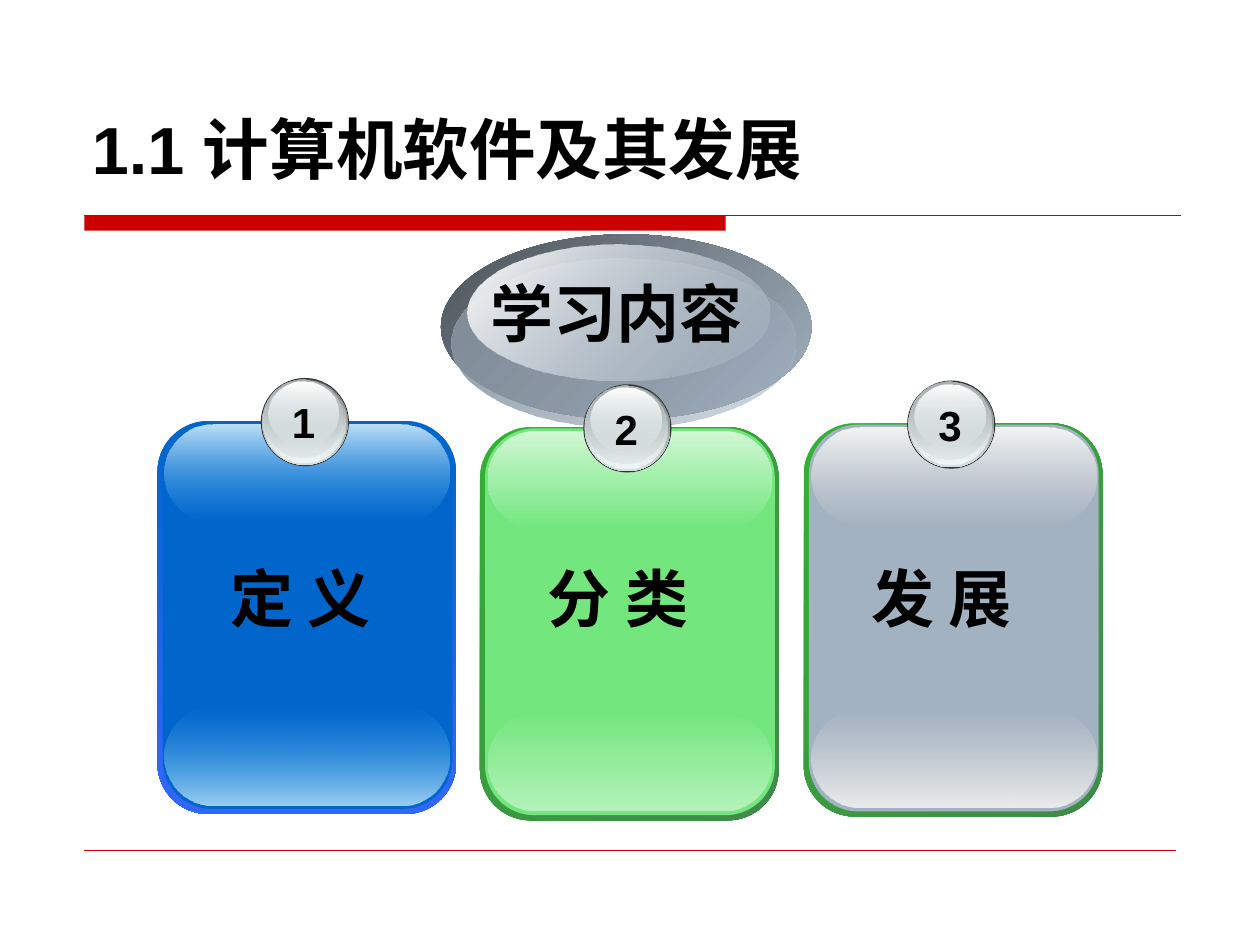
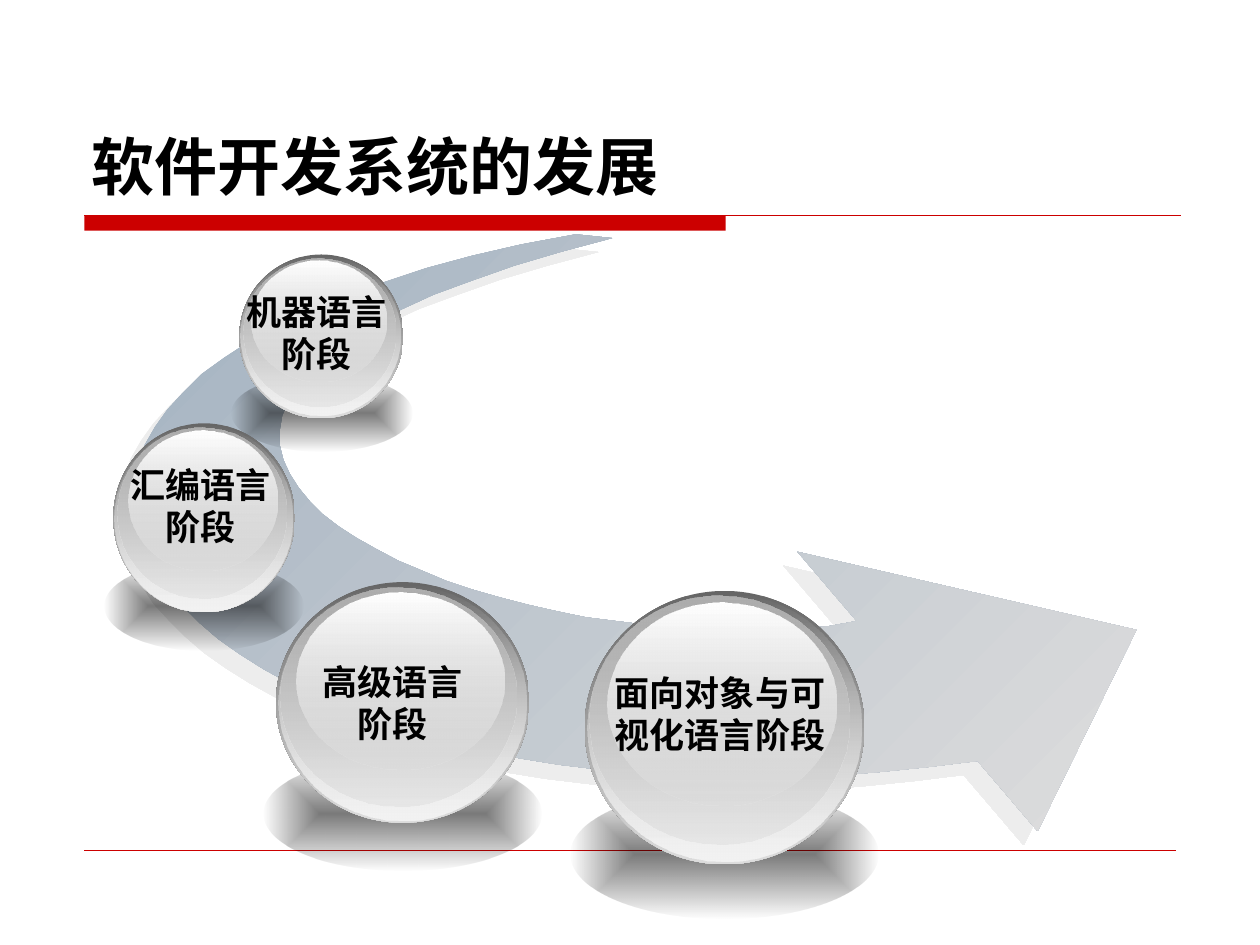
from dataclasses import dataclass

from pptx import Presentation
from pptx.dml.color import RGBColor
from pptx.enum.shapes import MSO_CONNECTOR as CONN, MSO_SHAPE as SHAPE
from pptx.enum.text import MSO_ANCHOR as ANCHOR, MSO_AUTO_SIZE as AUTO, PP_ALIGN as ALIGN
from pptx.oxml import parse_xml
from pptx.oxml.ns import nsdecls, qn
from pptx.oxml.xmlchemy import OxmlElement
from pptx.util import Emu, Pt

PX = 9144  # EMU per px, 100 px to the inch


@dataclass(frozen=True)
class Theme:
    """Colours and type sizes; a gradient is (start, end, angle), a stop is (colour, opacity %)."""
    font: str = "Arial"
    text: str = "000000"
    accent: str = "CC0000"
    title_size: int = 38
    head_size: int = 36
    stage_size: int = 20
    badge_size: int = 24
    badge_rim: str = "333333"
    arrow: tuple = (("A3B2C1", 100), ("DDDDDD", 100), 45)
    arrow_shadow: str = "DDDDDD"
    ground: tuple = (("000000", 52), ("000000", 0), None)
    green_edge: tuple = (("34B034", 100), ("3F8B4A", 100), 45)
    blue_edge: tuple = (("0066CC", 100), ("3366FF", 100), 90)


THEME = Theme()

# Layers of a glossy ball: left, top, width, height as shares of the ball, then fill
BADGE_LAYERS = [
    ((0, 0, 1, 1), THEME.badge_rim),
    ((.01, .01, .97, .97), (("636869", 100), ("D6E1E2", 100), 90)),
    ((.02, .02, .94, .94), (("D6E1E2", 0), ("F1F5F5", 100), 90)),
    ((.03, .02, .9, .89), (("AAB2B3", 100), ("D6E1E2", 48), 90)),
    ((.09, .04, .8, .71), (("FFFFFF", 100), ("D6E1E2", 38), 90)),
]
STAGE_LAYERS = [
    ((-.05, .73, 1.1, .47), THEME.ground),
    ((0, 0, 1, 1), (("666666", 100), ("DDDDDD", 100), 90)),
    ((.01, .01, .98, .98), (("DDDDDD", 0), ("F3F3F3", 100), 90)),
    ((.02, .02, .93, .91), (("AFAFAF", 100), ("DDDDDD", 48), 90)),
    ((.08, .04, .82, .74), (("FFFFFF", 100), ("DDDDDD", 38), 90)),
]
HEADING_LAYERS = [
    ((350, 186, 294, 147), (("4B5259", 100), ("A3B2C1", 100), 45)),
    ((358, 205, 273, 134), (("818D99", 100), ("A3B2C1", 48), 45)),
    ((371, 194, 240, 108), (("FFFFFF", 100), ("A3B2C1", 38), 45)),
]

# Panels: number, label, label left, left, top, edge, face, top gloss, bottom gloss
BLUE = ("1", "定 义", 127, 125, 334, THEME.blue_edge, "0066CC",
        (("BEE0F7", 100), ("3CA1E6", 0), 90), (("3CA1E6", 0), ("9BCFF2", 100), 90))
GREEN = ("2", "分 类", 379, 381, 339, THEME.green_edge, "73E77E",
         (("D0F7D4", 100), ("73E77E", 100), 90), (("73E77E", 100), ("B3F2B9", 100), 90))
GREY = ("3", "发 展", 636, 638, 336, THEME.green_edge, "A3B2C1",
        (("F4F4F4", 100), ("DDDDDD", 0), 90), (("DDDDDD", 0), ("ECECEC", 100), 90))

# Stages: lines, ball box, text box
STAGES = [
    (("面向对象与可", "视化语言阶段"), (464, 469, 222, 217), (478, 528, 187, 77)),
    (("高级语言", "阶段"), (219, 462, 201, 191), (246, 519, 131, 77)),
    (("机器语言", "阶段"), (190, 202, 130, 130), (186, 226, 131, 77)),
    (("汇编语言", "阶段"), (90, 336, 144, 150), (94, 363, 131, 77)),
]

ARROW_OUTER = [
    (457, 186), (414, 194), (375, 203), (338, 213), (305, 224), (274, 235), (246, 246),
    (221, 258), (198, 271), (178, 284), (160, 297), (146, 311), (133, 325), (123, 339),
    (115, 353), (110, 368), (107, 382), (106, 397), (107, 411), (111, 425), (116, 440),
    (124, 454), (133, 468), (145, 481), (158, 494), (173, 507), (190, 519), (209, 531),
    (229, 542), (251, 553), (274, 563), (299, 572), (325, 581), (353, 589), (382, 596),
    (413, 602), (444, 607), (477, 611), (511, 615), (546, 617), (582, 618), (619, 617),
    (657, 616), (696, 613), (735, 609), (776, 604),
]
ARROW_HEAD = [(823, 659), (824, 659), (902, 500), (633, 438), (680, 493)]
ARROW_INNER = [
    (658, 497), (634, 499), (611, 500), (586, 500), (562, 500), (537, 498), (513, 496),
    (489, 493), (465, 490), (441, 485), (419, 480), (396, 474), (375, 468), (354, 461),
    (335, 453), (316, 445), (299, 436), (283, 427), (269, 418), (256, 408), (246, 398),
    (237, 387), (230, 376), (225, 365), (222, 353), (222, 342), (224, 330), (229, 318),
    (236, 306), (246, 294), (260, 282), (276, 270), (295, 258), (318, 246), (344, 234),
    (374, 223), (408, 211), (445, 200), (486, 189),
]


def assign(obj, **values):
    for name, value in values.items():
        setattr(obj, name, value)


def emu(*lengths):
    return [Emu(n * PX) for n in lengths]


class Deck:
    def __init__(self, theme):
        self.theme = theme
        self.prs = Presentation()
        self.prs.slide_width, self.prs.slide_height = emu(1000, 750)
        self.s = None

    def add_slide(self, title, top, size):
        """Start a slide with the shared rules and its title."""
        self.s = self.prs.slides.add_slide(self.prs.slide_layouts[5])
        self.shape(SHAPE.RECTANGLE, (67, 171, 509, 12), self.theme.accent)
        self.rule(937, 171, .75)
        self.rule(933, 675, .25)
        sp = self.s.shapes.title
        left, top, width, height = emu(63, top, 875, 133)
        assign(sp, left=left, top=top, width=width, height=height)
        self.set_text(sp.text_frame, [title], size, ALIGN.LEFT, ANCHOR.BOTTOM)

    def rule(self, right, y, weight):
        cx = self.s.shapes.add_connector(CONN.STRAIGHT, *emu(67, y, right, y))
        cx.line.color.rgb = RGBColor.from_string(self.theme.accent)
        cx.line.width = Pt(weight)
        cx._element.spPr.append(OxmlElement("a:effectLst"))

    def set_text(self, tf, lines, size, align=ALIGN.CENTER, anchor=ANCHOR.TOP, wrap=True):
        side, edge = emu(10, 5)
        assign(tf, word_wrap=wrap, auto_size=AUTO.NONE, vertical_anchor=anchor,
               margin_left=side, margin_right=side, margin_top=edge, margin_bottom=edge)
        for i, line in enumerate(lines):
            p = tf.paragraphs[0] if i == 0 else tf.add_paragraph()
            p.alignment = align
            r = p.add_run()
            r.text = line
            assign(r.font, name=self.theme.font, size=Pt(size), bold=True)
            r.font.color.rgb = RGBColor.from_string(self.theme.text)

    def text(self, box, lines, size, wrap=True):
        sp = self.s.shapes.add_textbox(*emu(*box))
        self.set_text(sp.text_frame, lines, size, wrap=wrap)

    def paint(self, sp, fill):
        """Fill with a plain colour or a gradient, without outline or shadow."""
        sp.shadow.inherit = False
        sp.line.fill.background()
        if isinstance(fill, str):
            sp.fill.solid()
            sp.fill.fore_color.rgb = RGBColor.from_string(fill)
            return
        *stops, angle = fill
        sp.fill.gradient()
        grad = sp._element.spPr.find(qn("a:gradFill"))
        for stop, (colour, opacity) in zip(sp.fill.gradient_stops, stops):
            stop.color.rgb = RGBColor.from_string(colour)
        for clr, (colour, opacity) in zip(grad.iter(qn("a:srgbClr")), stops):
            if opacity < 100:
                alpha = OxmlElement("a:alpha")
                alpha.set("val", str(opacity * 1000))
                clr.append(alpha)
        if angle is None:
            grad.replace(grad.find(qn("a:lin")), parse_xml(
                f'<a:path {nsdecls("a")} path="rect"><a:fillToRect l="50000" t="50000" '
                'r="50000" b="50000"/></a:path>'))
        else:
            sp.fill.gradient_angle = 360 - angle

    def shape(self, kind, box, fill, rounding=None):
        sp = self.s.shapes.add_shape(kind, *emu(*box))
        if rounding is not None:
            sp.adjustments[0] = rounding
        self.paint(sp, fill)

    def ball(self, box, layers):
        x, y, w, h = box
        for (dx, dy, dw, dh), fill in layers:
            part = (x + dx * w, y + dy * h, dw * w, dh * h)
            self.shape(SHAPE.OVAL, [round(n) for n in part], fill)

    def panel(self, number, label, label_x, x, y, edge, face, top_gloss, bottom_gloss):
        rounded = SHAPE.ROUNDED_RECTANGLE
        self.shape(rounded, (x, y, 237, 312), edge, .17)
        self.shape(rounded, (x + 4, y + 1, 230, 307), face, .17)
        self.shape(rounded, (x + 6, y + 227, 226, 78), bottom_gloss, .5)
        self.shape(rounded, (x + 6, y + 3, 226, 77), top_gloss, .5)
        self.ball((x + 82, y - 34, 70, 70), BADGE_LAYERS)
        self.text((x + 97, y - 24, 38, 50), [number], self.theme.badge_size, wrap=False)
        self.text((label_x, 439, 223, 70), [label], self.theme.head_size)

    def curved_arrow(self):
        start, *rest = ARROW_OUTER + ARROW_HEAD + ARROW_INNER
        builder = self.s.shapes.build_freeform(*start, scale=PX)
        builder.add_line_segments(rest, close=True)
        sp = builder.convert_to_shape()
        self.paint(sp, self.theme.arrow)
        sp._element.spPr.find(qn("a:effectLst")).append(parse_xml(
            f'<a:outerShdw {nsdecls("a")} dist="{Pt(11.3)}" dir="8100000" algn="ctr" '
            f'rotWithShape="0"><a:srgbClr val="{self.theme.arrow_shadow}">'
            '<a:alpha val="50000"/></a:srgbClr></a:outerShdw>'))


def contents_slide(deck):
    deck.add_slide("1.1 计算机软件及其发展", 21, THEME.title_size)
    deck.panel(*BLUE)
    deck.panel(*GREY)
    for box, fill in HEADING_LAYERS:
        deck.shape(SHAPE.OVAL, box, fill)
    deck.text((377, 213, 225, 70), ["学习内容"], THEME.head_size)
    deck.panel(*GREEN)


def stages_slide(deck):
    deck.add_slide("软件开发系统的发展", 33, THEME.head_size)
    deck.curved_arrow()
    for lines, ball_box, text_box in STAGES:
        deck.ball(ball_box, STAGE_LAYERS)
        deck.text(text_box, lines, THEME.stage_size, wrap=False)


def main():
    deck = Deck(THEME)
    contents_slide(deck)
    stages_slide(deck)
    deck.prs.save("out.pptx")


if __name__ == "__main__":
    main()
